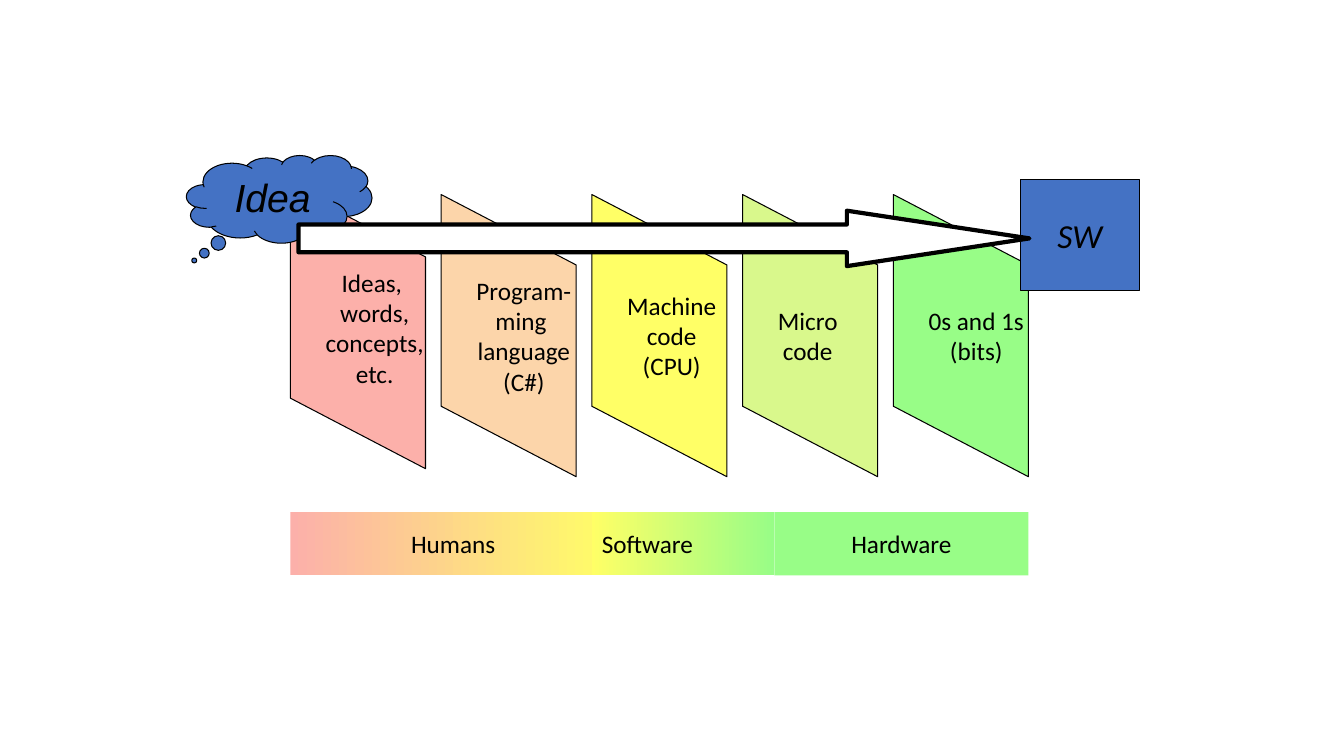
from pptx import Presentation
from pptx.dml.color import RGBColor
from pptx.enum.shapes import MSO_SHAPE as Preset
from pptx.enum.text import MSO_ANCHOR as Anchor, PP_ALIGN as Align
from pptx.util import Inches, Pt

THEME = {
    "ink": "000000", "white": "FFFFFF", "blue": "4472C4",
    "pink": "FCB0AA", "peach": "FCD5AA", "yellow": "FFFF66",
    "lime": "D9F88C", "green": "98FD87",
    "body": "Calibri", "thought": "Arial",
    "label_size": 18, "result_size": 24, "idea_size": 28,
    "thin": 0.75, "thick": 3,
}

LAYERS = [
    ("Ideas, \nwords,\nconcepts,\netc.", "pink", 2.58),
    ("Program-\nming \nlanguage\n(C#)", "peach", 2.66),
    ("Machine\ncode\n(CPU)", "yellow", 2.66),
    ("Micro\ncode", "lime", 2.66),
    ("0s and 1s\n(bits)", "green", 2.66),
]
DOMAINS = [
    ("Humans", 2.88, 3.23, ("pink", "yellow"), Align.CENTER),
    ("Software", 5.87, 1.81, ("yellow", "green"), Align.LEFT),
    ("Hardware", 7.68, 2.52, ("green",), Align.CENTER),
]
FIRST_LAYER, LAST_LAYER = 2.15, 8.13
LAYER_LENGTH, LAYER_WIDTH = 2.8, 1.34
DOMAIN_TOP, DOMAIN_HEIGHT = 5.08, 0.63


def color(name):
    return RGBColor.from_string(THEME[name])


def add_part(slide, preset, box, fills, line=None, adjustments=()):
    part = slide.shapes.add_shape(preset, *map(Inches, box))
    part.shadow.inherit = False
    for index, value in enumerate(adjustments):
        part.adjustments[index] = value
    if len(fills) == 1:
        part.fill.solid()
        part.fill.fore_color.rgb = color(fills[0])
    else:
        part.fill.gradient()
        part.fill.gradient_angle = 0
        for stop, position, name in zip(part.fill.gradient_stops, (0, 1), fills):
            stop.position = position
            stop.color.rgb = color(name)
    if line:
        part.line.color.rgb = color("ink")
        part.line.width = Pt(THEME[line])
    else:
        part.line.fill.background()
    return part


def write(part, text, size="label_size", font="body", italic=None,
          align=Align.CENTER, anchor=Anchor.MIDDLE, wrap=False):
    frame = part.text_frame
    frame.text = text
    frame.word_wrap = wrap
    frame.vertical_anchor = anchor
    for paragraph in frame.paragraphs:
        paragraph.alignment = align
        for run in paragraph.runs:
            run.font.name = THEME[font]
            run.font.size = Pt(THEME[size])
            run.font.italic = italic
            run.font.color.rgb = color("ink")


def add_layers(slide):
    step = (LAST_LAYER - FIRST_LAYER) / (len(LAYERS) - 1)
    for index, (label, fill, top) in enumerate(LAYERS):
        box = (FIRST_LAYER + index * step, top, LAYER_LENGTH, LAYER_WIDTH)
        layer = add_part(slide, Preset.PARALLELOGRAM, box, (fill,), "thin", (0.522,))
        layer.rotation = 90
        write(layer, label)
        body = layer.text_frame._txBody.bodyPr
        body.set("vert", "eaVert")
        body.set("rot", "10800000")


def add_journey(slide):
    idea = add_part(slide, Preset.CLOUD_CALLOUT, (1.85, 1.54, 1.84, 0.87),
                    ("blue",), "thin", (-0.458, 0.7))
    write(idea, "Idea", "idea_size", "thought", True, anchor=Anchor.TOP, wrap=True)
    software = add_part(slide, Preset.RECTANGLE, (10.12, 1.78, 1.18, 1.1),
                        ("blue",), "thin")
    write(software, "SW", "result_size", italic=True)
    add_part(slide, Preset.RIGHT_ARROW, (2.96, 2.09, 7.25, 0.55),
             ("white",), "thick", (0.5, 3.292))


def add_domains(slide):
    for label, left, width, fills, align in DOMAINS:
        box = (left, DOMAIN_TOP, width, DOMAIN_HEIGHT)
        domain = add_part(slide, Preset.RECTANGLE, box, fills)
        write(domain, label, align=align)


def main():
    deck = Presentation()
    deck.slide_width, deck.slide_height = Inches(13.33), Inches(7.5)
    slide = deck.slides.add_slide(deck.slide_layouts[6])
    add_layers(slide)
    add_journey(slide)
    add_domains(slide)
    deck.save("out.pptx")


if __name__ == "__main__":
    main()
